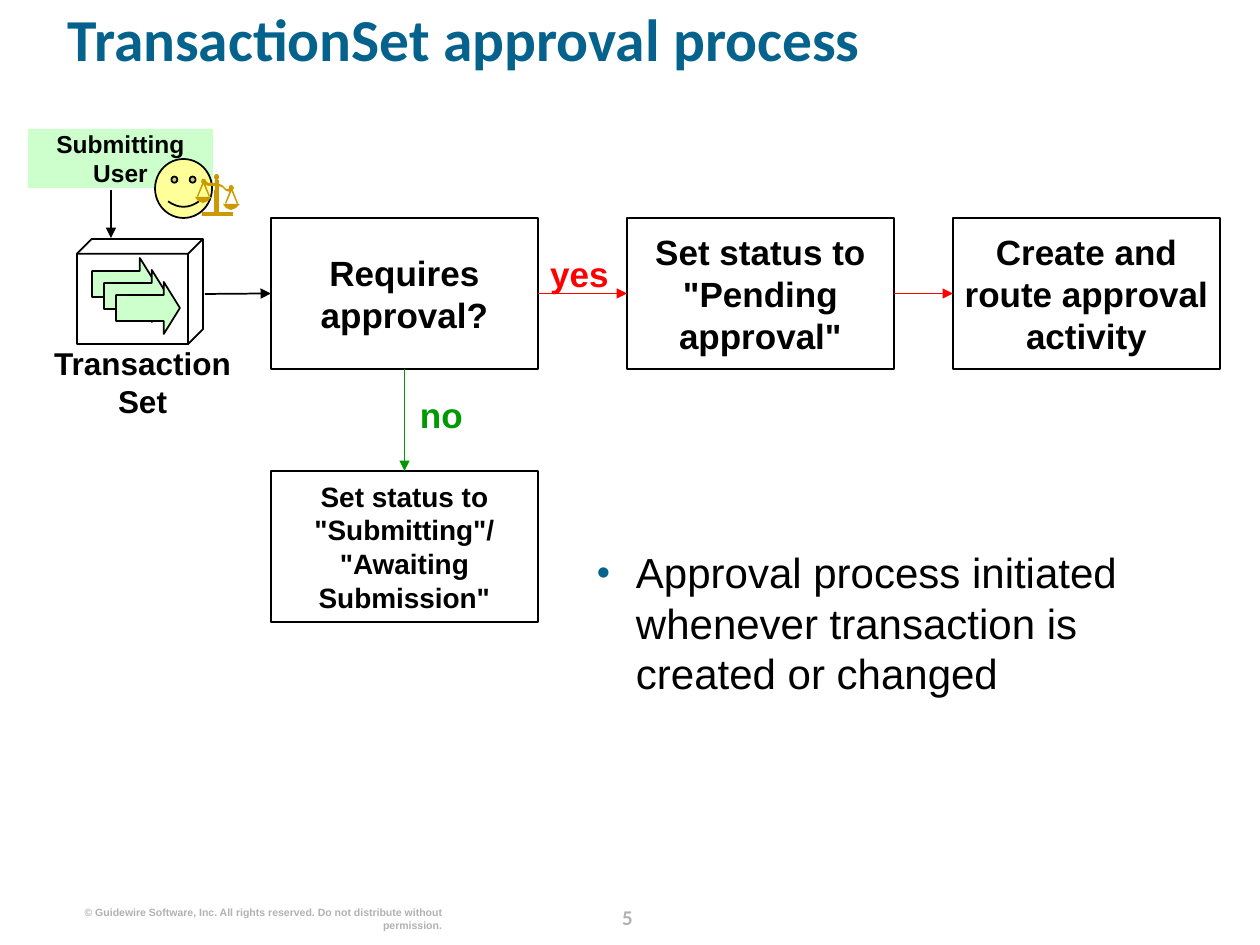
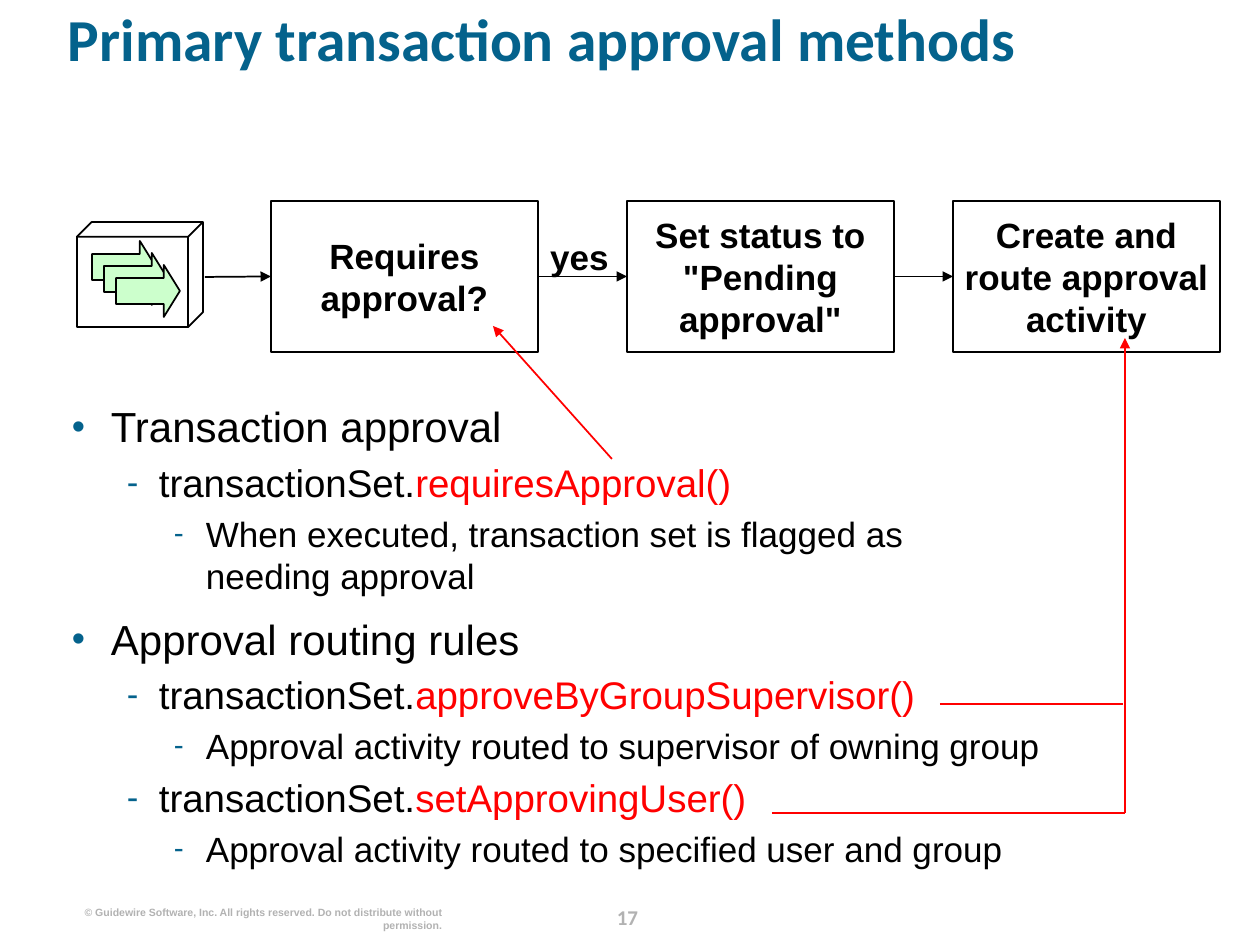
from lxml.etree import SubElement
from pptx import Presentation
from pptx.dml.color import RGBColor
from pptx.enum.shapes import MSO_CONNECTOR, MSO_SHAPE as SHAPE
from pptx.enum.text import MSO_ANCHOR as ANCHOR, PP_ALIGN as ALIGN
from pptx.oxml.ns import qn
from pptx.util import Inches, Pt

PX = 7257  # EMU in one px, 126 px to the inch
rgb = RGBColor.from_string
BLACK, RED, GREEN, BLUE, GREY = "000000", "FF0000", "009900", "04628C", "B2B2B2"
MINT, YELLOW, GOLD = "CCFFCC", "FFFF99", "CC9900"

TITLE = dict(name="Calibri", size=Pt(34), bold=True)
PAGE_NUMBER = dict(name="Calibri", size=Pt(12), bold=True)
COPYRIGHT = dict(name="Arial", size=Pt(6), bold=True)
STEP = dict(name="Arial", size=Pt(20), bold=True)
SMALL_STEP = dict(STEP, size=Pt(16))
SET_NAME = dict(STEP, size=Pt(18))
USER_NAME = dict(STEP, size=Pt(14))

# Outline levels: bullet, its size, indent, hanging, text size, space before
LEVELS = [("•", 90, 39, 39, 24, 9.6),
          ("-", 90, 87, 32, 22, 4.4),
          ("-", 85, 134, 32, 20, 4)]


def put(slide, kind, place, text="", style=STEP, color=BLACK, fill=None,
        line=None, align=ALIGN.CENTER, inset=0):
    """Add a preset shape, or a text box when kind is None."""
    place = [n * PX for n in place]
    if kind is None:
        item = slide.shapes.add_textbox(*place)
    else:
        item = slide.shapes.add_shape(kind, *place)
        item.shadow.inherit = False
        if fill:
            item.fill.solid()
            item.fill.fore_color.rgb = rgb(fill)
        else:
            item.fill.background()
        if line:
            item.line.color.rgb = rgb(line)
            item.line.width = Pt(1)
        else:
            item.line.fill.background()
    frame = item.text_frame
    layout = dict(word_wrap=True, margin_left=inset * PX, margin_right=inset * PX,
                  margin_top=0, margin_bottom=0,
                  vertical_anchor=ANCHOR.MIDDLE if kind else ANCHOR.TOP)
    for key, value in layout.items():
        setattr(frame, key, value)
    if text:
        paragraph = frame.paragraphs[0]
        paragraph.alignment = align
        run = paragraph.add_run()
        run.text = text
        for key, value in style.items():
            setattr(run.font, key, value)
        run.font.color.rgb = rgb(color)
    return item


def link(slide, points, color=BLACK, start=None, end=None, arrow=True):
    """Add a straight line; start and end are (shape, side) pairs to join."""
    wire = slide.shapes.add_connector(MSO_CONNECTOR.STRAIGHT, *[n * PX for n in points])
    if start:
        wire.begin_connect(*start)
    if end:
        wire.end_connect(*end)
    wire.line.color.rgb = rgb(color)
    wire.line.width = Pt(1)
    outline = wire._element.spPr
    if arrow:
        SubElement(outline.find(qn("a:ln")), qn("a:tailEnd"), type="triangle")
    SubElement(outline, qn("a:effectLst"))


deck = Presentation()
deck.slide_width, deck.slide_height = Inches(10), Inches(7.5)

# title, page, top of the flow, colour of the yes branch, outline place, outline
PAGES = [
    ("TransactionSet approval process", "5", 218, RED, (597, 547, 620, 242), [
        (0, "Approval process initiated whenever transaction is created or changed", "")]),
    ("Primary transaction approval methods", "17", 201, BLACK, (72, 401, 1147, 480), [
        (0, "Transaction approval", ""),
        (1, "transactionSet.", "requiresApproval()"),
        (2, "When executed, transaction set is flagged as\nneeding approval", ""),
        (0, "Approval routing rules", ""),
        (1, "transactionSet.", "approveByGroupSupervisor()"),
        (2, "Approval activity routed to supervisor of owning group", ""),
        (1, "transactionSet.", "setApprovingUser()"),
        (2, "Approval activity routed to specified user and group", "")]),
]
STEPS = [(271, "Requires approval?"),
         (627, 'Set status to "Pending approval"'),
         (953, "Create and route approval activity")]

built = []
for title, page, top, yes_color, outline_place, outline in PAGES:
    slide = deck.slides.add_slide(deck.slide_layouts[6])

    # Title and footer
    heading = put(slide, None, (68, 16, 1147, 102), title, TITLE, BLUE, align=ALIGN.LEFT)
    heading.text_frame.paragraphs[0].line_spacing = 0.8
    number = put(slide, None, (592, 898, 71, 32), page, PAGE_NUMBER, GREY)
    number.text_frame.paragraphs[0].line_spacing = Pt(18)
    put(slide, None, (77, 906, 365, 26), "© Guidewire Software, Inc. All rights reserved. "
        "Do not distribute without permission.", COPYRIGHT, GREY, align=ALIGN.RIGHT)

    # Outline
    body = put(slide, None, outline_place).text_frame
    for index, (level, text, call) in enumerate(outline):
        paragraph = body.add_paragraph() if index else body.paragraphs[0]
        bullet, bullet_size, indent, hanging, size, gap = LEVELS[level]
        paragraph.level = level
        props = paragraph._p.get_or_add_pPr()
        props.set("marL", str(indent * PX))
        props.set("indent", str(-hanging * PX))
        if index:
            paragraph.space_before = Pt(gap)
        SubElement(SubElement(props, qn("a:buClr")), qn("a:srgbClr"), val=BLUE)
        SubElement(props, qn("a:buSzPct"), val=str(bullet_size * 1000))
        SubElement(props, qn("a:buFont"), typeface="Arial")
        SubElement(props, qn("a:buChar"), char=bullet)
        pieces = [(line, BLACK) for line in text.split("\n")]
        if call:
            pieces.append((call, RED))
        for place, (piece, color) in enumerate(pieces):
            if place and color == BLACK:
                paragraph.add_line_break()
            run = paragraph.add_run()
            run.text = piece
            run.font.name, run.font.size = "Arial", Pt(size)
            run.font.color.rgb = rgb(color)

    # Transaction set: three arrows in a cube
    for step in range(3):
        arrow = put(slide, SHAPE.RIGHT_ARROW, (92 + 12 * step, top + 40 + 12 * step, 64, 52),
                    fill=MINT, line=BLACK)
        arrow.adjustments[0], arrow.adjustments[1] = 0.5, 0.31
    cube = put(slide, SHAPE.CUBE, (77, top + 21, 126, 105), line=BLACK)
    cube.adjustments[0] = 0.14

    # Flow of steps
    requires, pending, activity = [
        put(slide, SHAPE.RECTANGLE, (left, top, 267, 151), text, line=BLACK, inset=6)
        for left, text in STEPS]
    middle = top + 76
    put(slide, None, (538, top + 34, 83, 42), "yes", color=yes_color)
    link(slide, (205, middle, 271, middle), end=(requires, 1))
    for source, target in ((requires, pending), (pending, activity)):
        link(slide, (0, 0, 0, 0), yes_color, (source, 3), (target, 1))
    built.append((slide, requires))

# Slide 1: the no branch
process, requires = built[0]
submitting = put(process, SHAPE.RECTANGLE, (271, 471, 267, 151),
                 'Set status to "Submitting"/ "Awaiting Submission"', SMALL_STEP,
                 line=BLACK, inset=6)
link(process, (0, 0, 0, 0), GREEN, (requires, 2), (submitting, 0))
put(process, None, (420, 394, 52, 42), "no", color=GREEN, align=ALIGN.LEFT)

# Slide 1: submitting user
put(process, None, (50, 344, 185, 76), "Transaction Set", SET_NAME)
put(process, SHAPE.RECTANGLE, (28, 129, 185, 59), "Submitting User", USER_NAME, fill=MINT)
smiley = put(process, SHAPE.SMILEY_FACE, (155, 159, 57, 59), fill=YELLOW, line=BLACK)
smiley.adjustments[0] = 0.05
link(process, (111, 190, 111, 238))

# Slide 1: pair of scales
beam = [(234, 188), (232, 185), (229, 186), (229, 189), (226, 189), (222, 185), (215, 183),
        (208, 183), (206, 181), (205, 179), (202, 179), (201, 182), (204, 185), (209, 186),
        (217, 186), (222, 187), (226, 191), (230, 192), (233, 190)]
pan = [(195, 197), (198, 201), (203, 203), (208, 201), (212, 197)]
left_cord = [(198, 197), (204, 183), (203, 181), (197, 196)]
right_cord = [(209, 197), (203, 183), (204, 181), (210, 196)]
outlines = [beam]
for dx, dy in ((0, 0), (28, 7)):
    outlines += [[(x + dx, y + dy) for x, y in part] for part in (pan, left_cord, right_cord)]
for points in outlines:
    builder = process.shapes.build_freeform(*points[0], scale=PX)
    builder.add_line_segments(points[1:], close=True)
    piece = builder.convert_to_shape()
    piece.shadow.inherit = False
    piece.fill.solid()
    piece.fill.fore_color.rgb = rgb(GOLD)
    piece.line.fill.background()
for kind, place in ((SHAPE.RECTANGLE, (215, 180, 4, 14)), (SHAPE.RECTANGLE, (214, 190, 5, 23)),
                    (SHAPE.OVAL, (214, 174, 5, 6)), (SHAPE.RECTANGLE, (202, 212, 31, 4))):
    put(process, kind, place, fill=GOLD)

# Slide 2: pointers from the methods to their steps
methods = built[1][0]
for points, arrow in (((612, 459, 493, 326), True), ((940, 704, 1123, 704), False),
                      ((772, 813, 1125, 813), False), ((1125, 813, 1125, 338), True)):
    link(methods, points, RED, arrow=arrow)

deck.save("out.pptx")
